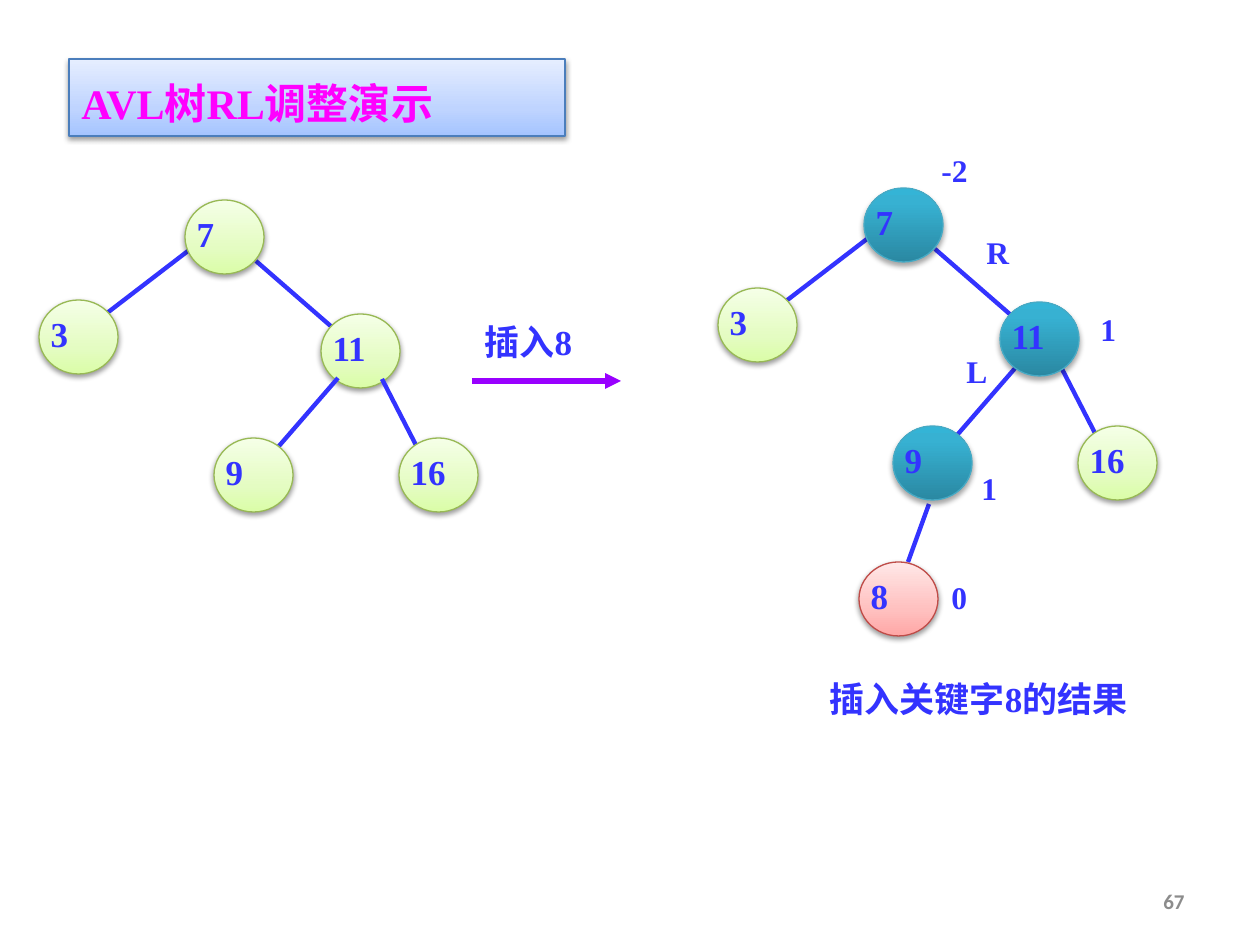
from dataclasses import dataclass

import pptx
import pptx.dml.color
import pptx.enum.shapes
import pptx.enum.text
import pptx.oxml
import pptx.oxml.ns
import pptx.util

PX_PER_INCH = 126
ALIGN = pptx.enum.text.PP_ALIGN
ANCHOR = pptx.enum.text.MSO_ANCHOR
SHAPE = pptx.enum.shapes.MSO_SHAPE


@dataclass(frozen=True)
class Look:
    stops: tuple[tuple[int, str], ...]  # percent from the bottom edge, colour
    line: str
    shadow: tuple[int, float]  # opacity percent, distance in points


@dataclass(frozen=True)
class Theme:
    green = Look(((0, "DAFDA7"), (35, "E4FCC2"), (100, "F5FFE7")), "98B955", (38, 1.6))
    red = Look(((0, "FFA6A5"), (35, "FFC0BF"), (100, "FFE7E7")), "BF4C48", (38, 1.6))
    teal = Look(((0, "2A88A2"), (80, "37B1D2"), (100, "34B4D6")), "46AAC5", (35, 1.8))
    banner = Look(((0, "A4C4FF"), (35, "BFD4FF"), (100, "E6EEFF")), "4B7EBC", (38, 1.6))
    ink = "3333FF"
    title = "FF00FF"
    arrow = "9900FF"
    page = "8C8C8C"
    serif = "Times New Roman"
    sans = "Calibri"
    title_size = 24
    node_size = 20
    label_size = 18
    page_size = 12
    outline = 0.75
    edge = 2.5
    arrow_width = 3


@dataclass(frozen=True)
class Node:
    key: str
    x: int
    y: int


@dataclass(frozen=True)
class Edge:
    x1: int
    y1: int
    x2: int
    y2: int


@dataclass(frozen=True)
class Label:
    text: str
    x: int
    y: int
    w: int


THEME = Theme()
NODE_W, NODE_H = 79, 74
LABEL_H = 50

# Back to front
TREE = [
    Edge(256, 261, 333, 328),
    Edge(188, 251, 98, 320),
    Node("7", 185, 200),
    Node("3", 39, 300),
    Node("11", 321, 314),
    Edge(338, 378, 266, 461),
    Node("9", 214, 438),
    Edge(382, 379, 418, 449),
    Node("16", 399, 438),
]
RESULT_OFFSET = (679, -12)
UNBALANCED = ("7", "11", "9")

LABELS = [
    Label("0", 939, 572, 39),
    Label("1", 969, 463, 39),
    Label("1", 1088, 304, 39),
    Label("-2", 929, 145, 59),
    Label("R", 974, 227, 49),
    Label("L", 954, 346, 49),
]


def px(n: int) -> pptx.util.Emu:
    return pptx.util.Emu(round(n * 914400 / PX_PER_INCH))


def rgb(colour: str) -> pptx.dml.color.RGBColor:
    return pptx.dml.color.RGBColor.from_string(colour)


def write(sp, text: str, size: int, colour: str = THEME.ink, font: str = THEME.serif,
          spacing: float = 1.0, align=ALIGN.LEFT, anchor=ANCHOR.TOP) -> None:
    tf = sp.text_frame
    tf.word_wrap = True
    tf.vertical_anchor = anchor
    p = tf.paragraphs[0]
    p.text = text
    p.alignment = align
    p.line_spacing = spacing
    p.font.name = font
    p.font.size = pptx.util.Pt(size)
    p.font.bold = True
    p.font.color.rgb = rgb(colour)


def add_text(s, text: str, x: int, y: int, w: int, h: int, size: int, **style) -> None:
    write(s.shapes.add_textbox(px(x), px(y), px(w), px(h)), text, size, **style)


def add_glossy(s, kind, x: int, y: int, w: int, h: int, look: Look):
    """Add a shape with an upward gradient, a thin outline and a soft shadow."""
    sp = s.shapes.add_shape(kind, px(x), px(y), px(w), px(h))
    ns = pptx.oxml.ns.nsdecls("a")
    sp.fill.gradient()
    sp.fill.gradient_angle = 90
    stops = "".join(f'<a:gs pos="{pos * 1000}"><a:srgbClr val="{colour}"/></a:gs>'
                    for pos, colour in look.stops)
    old = sp.element.spPr.find(".//" + pptx.oxml.ns.qn("a:gsLst"))
    old.getparent().replace(old, pptx.oxml.parse_xml(f"<a:gsLst {ns}>{stops}</a:gsLst>"))
    sp.line.color.rgb = rgb(look.line)
    sp.line.width = pptx.util.Pt(THEME.outline)
    sp.shadow.inherit = False
    opacity, distance = look.shadow
    sp.element.spPr.find(pptx.oxml.ns.qn("a:effectLst")).append(pptx.oxml.parse_xml(
        f'<a:outerShdw {ns} blurRad="{pptx.util.Pt(3.1)}" dist="{pptx.util.Pt(distance)}" '
        f'dir="5400000" rotWithShape="0"><a:srgbClr val="000000">'
        f'<a:alpha val="{opacity * 1000}"/></a:srgbClr></a:outerShdw>'))
    return sp


def add_node(s, node: Node, look: Look, dx: int = 0, dy: int = 0) -> None:
    sp = add_glossy(s, SHAPE.OVAL, node.x + dx, node.y + dy, NODE_W, NODE_H, look)
    tf = sp.text_frame
    tf.margin_left = tf.margin_right = tf.margin_bottom = 0
    tf.margin_top = px(10)
    write(sp, node.key, THEME.node_size, spacing=0.8)


def add_line(s, edge: Edge, colour: str, width: float, dx: int = 0, dy: int = 0):
    cx = s.shapes.add_connector(
        pptx.enum.shapes.MSO_CONNECTOR.STRAIGHT,
        px(edge.x1 + dx), px(edge.y1 + dy), px(edge.x2 + dx), px(edge.y2 + dy))
    cx.line.color.rgb = rgb(colour)
    cx.line.width = pptx.util.Pt(width)
    cx.element.spPr.append(pptx.oxml.parse_xml(
        f'<a:effectLst {pptx.oxml.ns.nsdecls("a")}/>'))
    return cx


def add_tree(s, dx: int = 0, dy: int = 0, marked: tuple[str, ...] = ()) -> None:
    """Draw the tree, with the marked nodes in teal in front of everything."""
    front = [item for item in TREE if isinstance(item, Node) and item.key in marked]
    for item in TREE:
        if isinstance(item, Edge):
            add_line(s, item, THEME.ink, THEME.edge, dx, dy)
        elif item not in front:
            add_node(s, item, THEME.green, dx, dy)
    for node in front:
        add_node(s, node, THEME.teal, dx, dy)


def main() -> None:
    prs = pptx.Presentation()
    prs.slide_width, prs.slide_height = px(1260), px(945)
    s = prs.slides.add_slide(prs.slide_layouts[6])

    banner = add_glossy(s, SHAPE.RECTANGLE, 69, 59, 496, 77, THEME.banner)
    write(banner, "AVL树RL调整演示", THEME.title_size, THEME.title, spacing=1.25)

    add_tree(s)

    arrow = add_line(s, Edge(472, 381, 621, 381), THEME.arrow, THEME.arrow_width)
    arrow.line._get_or_add_ln().append(pptx.oxml.parse_xml(
        f'<a:tailEnd {pptx.oxml.ns.nsdecls("a")} type="triangle"/>'))
    add_text(s, "插入8", 472, 302, 118, 67, THEME.node_size,
             spacing=1.3, align=ALIGN.JUSTIFY)

    add_line(s, Edge(929, 504, 908, 562), THEME.ink, THEME.edge)
    add_node(s, Node("8", 859, 562), THEME.red)
    add_tree(s, *RESULT_OFFSET, marked=UNBALANCED)
    for label in LABELS:
        add_text(s, label.text, label.x, label.y, label.w, LABEL_H, THEME.label_size)
    add_text(s, "插入关键字8的结果", 817, 659, 348, 67, THEME.node_size,
             spacing=1.3, align=ALIGN.JUSTIFY)

    add_text(s, "67", 903, 876, 294, 50, THEME.page_size, colour=THEME.page,
             font=THEME.sans, align=ALIGN.RIGHT, anchor=ANCHOR.MIDDLE)
    prs.save("out.pptx")


if __name__ == "__main__":
    main()
